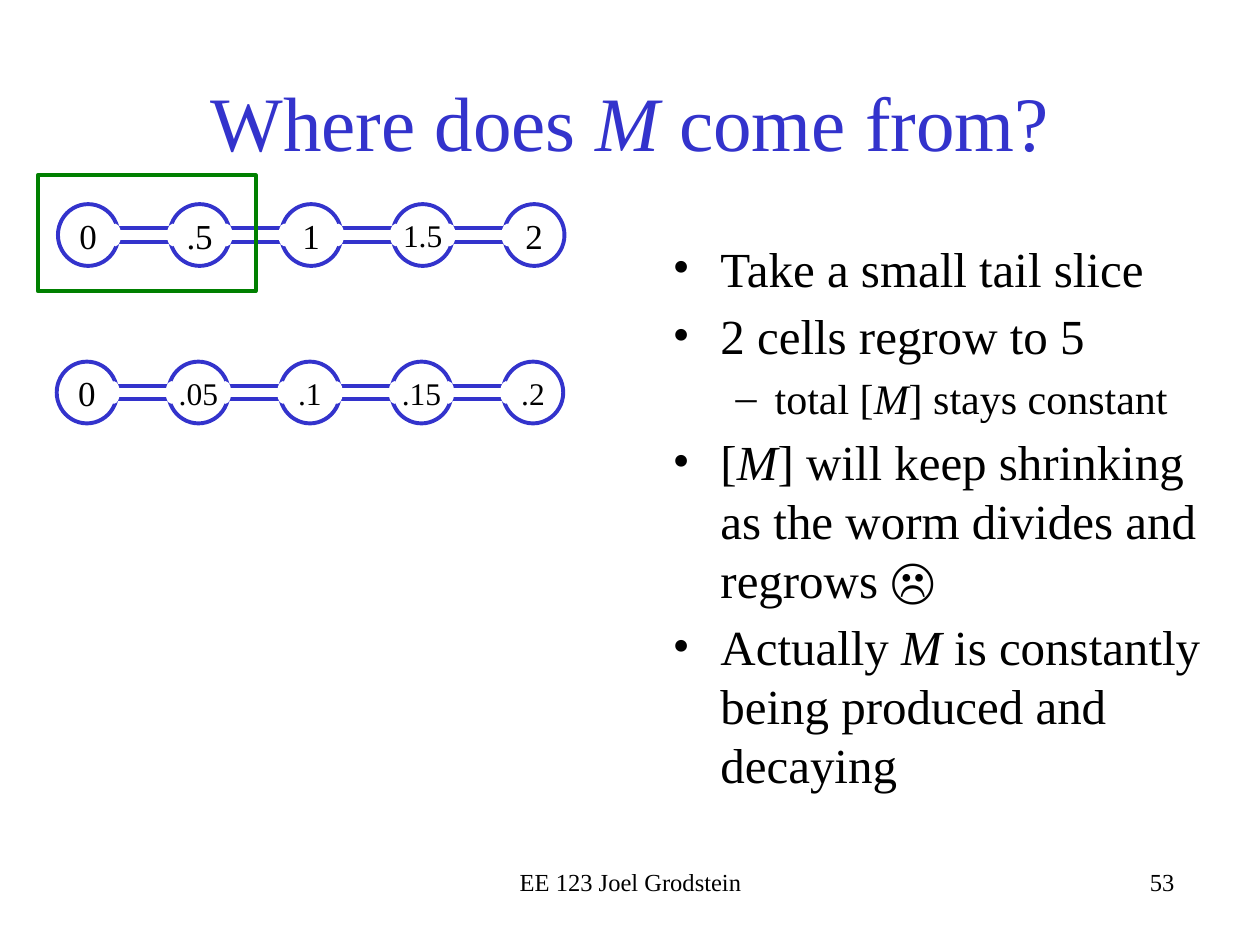
from lxml.etree import SubElement
from pptx import Presentation
from pptx.dml.color import RGBColor
from pptx.enum.shapes import MSO_SHAPE as Shape
from pptx.enum.text import MSO_ANCHOR as Anchor, PP_ALIGN as Align
from pptx.oxml.ns import qn
from pptx.util import Inches, Pt

FONT = "Times New Roman"
BLUE, GREEN, BLACK, WHITE = "3333CC", "008000", "000000", "FFFFFF"

TITLE = ("Where does ", "M", " come from?")
BULLETS = [
    (0, ("Take a small tail slice",)),
    (0, ("2 cells regrow to 5",)),
    (1, ("total [", "M", "] stays constant")),
    (0, ("[", "M", "] will keep shrinking as the worm divides and regrows ☹")),
    (0, ("Actually ", "M", " is constantly being produced and decaying")),
]
LEVELS = [
    {"bullet": "•", "size": 28, "left": 0.38, "hang": 0.38},
    {"bullet": "–", "size": 24, "left": 0.81, "hang": 0.31},
]
WORMS = [
    (0.46, 1.62, [("0", 20), (".5", 20), ("1", 20), ("1.5", 18), ("2", 20)]),
    (0.45, 2.87, [("0", 20), (".05", 18), (".1", 18), (".15", 18), (".2", 18)]),
]
PITCH, CELL_WIDTH, CELL_HEIGHT = 0.885, 0.48, 0.49
LINK_WIDTH, LINK_HEIGHT = 0.46, 0.11
GAP_WIDTH, GAP_HEIGHT, GAP_OVERHANG = 0.09, 0.18, 0.02


def color(value):
    return RGBColor.from_string(value)


def add_text(paragraph, parts, size=20, fill=BLACK, align=Align.LEFT):
    """Write the parts as runs, setting the variable M in italics."""
    paragraph.alignment = align
    for part in parts:
        run = paragraph.add_run()
        run.text = part
        run.font.name, run.font.size = FONT, Pt(size)
        run.font.italic = part == "M"
        run.font.color.rgb = color(fill)


def add_box(slide, left, top, width, height, parts, **text_format):
    box = slide.shapes.add_textbox(*map(Inches, (left, top, width, height)))
    box.text_frame.word_wrap = True
    add_text(box.text_frame.paragraphs[0], parts, **text_format)


def add_outline(slide, kind, left, top, width, height, fill=None, line=None):
    shape = slide.shapes.add_shape(kind, *map(Inches, (left, top, width, height)))
    shape.shadow.inherit = False
    if fill:
        shape.fill.solid()
        shape.fill.fore_color.rgb = color(fill)
    else:
        shape.fill.background()
    if line:
        shape.line.color.rgb = color(line)
        shape.line.width = Pt(2.25)
    else:
        shape.line.fill.background()
    return shape


def add_worm(slide, left, top, cells):
    middle = top + CELL_HEIGHT / 2
    starts = [left + index * PITCH for index in range(len(cells))]
    for start, (label, size) in zip(starts, cells):
        cell = add_outline(slide, Shape.OVAL, start, top, CELL_WIDTH, CELL_HEIGHT, line=BLUE)
        frame = cell.text_frame
        frame.word_wrap = False
        frame.margin_left = frame.margin_right = frame.margin_top = frame.margin_bottom = 0
        frame.vertical_anchor = Anchor.MIDDLE
        add_text(frame.paragraphs[0], [label], size=size, align=Align.CENTER)
    for start, following in zip(starts, starts[1:]):
        center = (start + following + CELL_WIDTH) / 2
        add_outline(slide, Shape.RECTANGLE, center - LINK_WIDTH / 2, middle - LINK_HEIGHT / 2,
                    LINK_WIDTH, LINK_HEIGHT, fill=WHITE, line=BLUE)
        right_edge = start + CELL_WIDTH + GAP_OVERHANG
        for gap_left in (right_edge - GAP_WIDTH, following - GAP_OVERHANG):
            add_outline(slide, Shape.OVAL, gap_left, middle - GAP_HEIGHT / 2,
                        GAP_WIDTH, GAP_HEIGHT, fill=WHITE)


def add_bullets(slide, left, top, width, height):
    box = slide.shapes.add_textbox(*map(Inches, (left, top, width, height)))
    frame = box.text_frame
    frame.word_wrap = True
    frame.margin_top = Inches(0.06)
    for index, (level, parts) in enumerate(BULLETS):
        style = LEVELS[level]
        paragraph = frame.add_paragraph() if index else frame.paragraphs[0]
        paragraph.level = level
        paragraph.space_before = Pt(0.18 * style["size"] if index else 0)
        properties = paragraph._p.get_or_add_pPr()
        properties.set("marL", str(Inches(style["left"])))
        properties.set("indent", str(-Inches(style["hang"])))
        SubElement(properties, qn("a:buFont"), typeface=FONT)
        SubElement(properties, qn("a:buChar"), char=style["bullet"])
        add_text(paragraph, parts, size=style["size"])


def main():
    presentation = Presentation()
    presentation.slide_width, presentation.slide_height = Inches(10), Inches(7.5)
    slide = presentation.slides.add_slide(presentation.slide_layouts[5])

    title = slide.shapes.title
    title.left, title.top, title.width, title.height = map(Inches, (0.75, 0.33, 8.5, 1.25))
    title.text_frame.vertical_anchor = Anchor.MIDDLE
    add_text(title.text_frame.paragraphs[0], TITLE, size=44, fill=BLUE, align=Align.CENTER)

    add_bullets(slide, 5.24, 1.83, 4.46, 4.64)
    add_box(slide, 3.42, 6.83, 3.17, 0.34, ["EE 123 Joel Grodstein"], size=14, align=Align.CENTER)
    add_box(slide, 6.25, 6.83, 3.17, 0.5, ["53"], size=14, align=Align.RIGHT)
    for left, top, cells in WORMS:
        add_worm(slide, left, top, cells)
    add_outline(slide, Shape.RECTANGLE, 0.3, 1.39, 1.73, 0.92, line=GREEN)
    presentation.save("out.pptx")


if __name__ == "__main__":
    main()
